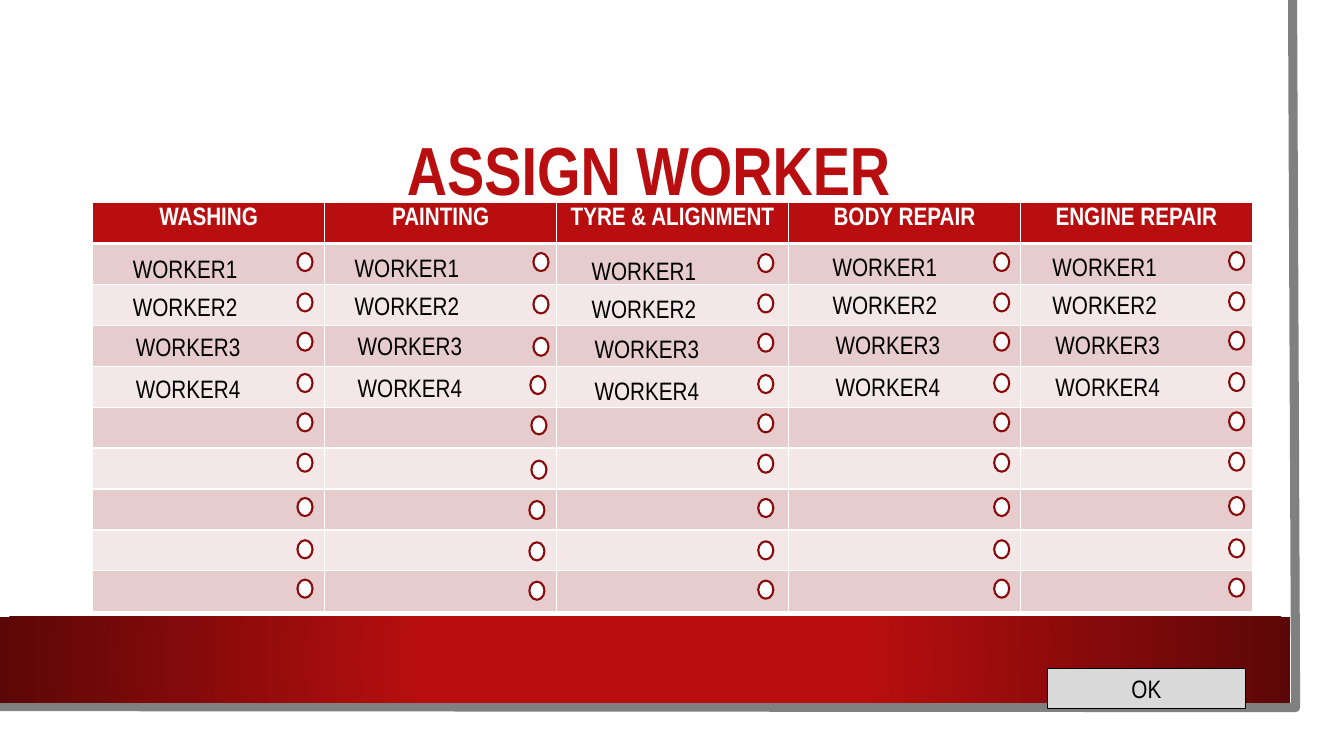
from pptx import Presentation
from pptx.dml.color import RGBColor
from pptx.enum.shapes import MSO_SHAPE
from pptx.enum.text import MSO_ANCHOR, PP_ALIGN
from pptx.oxml import parse_xml
from pptx.oxml.ns import nsdecls
from pptx.util import Inches, Pt

RECTANGLE = MSO_SHAPE.RECTANGLE
CIRCLE = MSO_SHAPE.FLOWCHART_CONNECTOR
LEFT, CENTER = PP_ALIGN.LEFT, PP_ALIGN.CENTER
TOP, MIDDLE, BOTTOM = MSO_ANCHOR.TOP, MSO_ANCHOR.MIDDLE, MSO_ANCHOR.BOTTOM

FONT = "Arial Narrow"
RED, DARK_RED, RING_RED = "B80E0F", "5C0707", "880A0B"
WHITE, BLACK, GREY, BUTTON_GREY = "FFFFFF", "000000", "808080", "D9D9D9"
BANDS = ("E6CCCC", "F3E7E7")

JOBS = ["WASHING", "PAINTING", "TYRE & ALIGNMENT", "BODY REPAIR", "ENGINE REPAIR"]
WORKERS = ["WORKER1", "WORKER2", "WORKER3", "WORKER4"]
ROW_COUNT = 10

# Offsets from the first worker label and the first radio button of a column
LABEL_STEPS = [(0, 0), (0, 0.38), (0.03, 0.78), (0.03, 1.19)]
BUTTON_DROPS = [0, 0.4, 0.79, 1.2, 1.59, 1.99, 2.43, 2.85, 3.24]
BUTTON_STEPS = [(0, drop) for drop in BUTTON_DROPS]
PAINTING_STEPS = [(0, 0), (0, 0.42), (0, 0.84), (-0.03, 1.22), (-0.02, 1.62),
                  (-0.02, 2.06), (-0.04, 2.46), (-0.04, 2.87), (-0.04, 3.26)]

# Per job: first label, first radio button, radio button offsets
COLUMNS = [
    ((1.22, 2.46), (2.95, 2.51), BUTTON_STEPS),
    ((3.42, 2.45), (5.29, 2.51), PAINTING_STEPS),
    ((5.77, 2.48), (7.52, 2.52), BUTTON_STEPS),
    ((8.16, 2.44), (9.86, 2.51), BUTTON_STEPS),
    ((10.34, 2.44), (12.19, 2.5), BUTTON_STEPS),
]


def color(hex_value):
    return RGBColor.from_string(hex_value)


def write_text(frame, text, size=18, text_color=BLACK, bold=False,
               align=LEFT, anchor=TOP, spacing=1.0):
    frame.word_wrap = True
    frame.vertical_anchor = anchor
    para = frame.paragraphs[0]
    para.alignment = align
    para.line_spacing = spacing
    span = para.add_run()
    span.text = text
    span.font.name = FONT
    span.font.size = Pt(size)
    span.font.bold = bold
    span.font.color.rgb = color(text_color)


def add_text(page, box, text, **text_format):
    shape = page.shapes.add_textbox(*map(Inches, box))
    write_text(shape.text_frame, text, **text_format)


def add_box(page, kind, box, fill, line=None, width=1):
    shape = page.shapes.add_shape(kind, *map(Inches, box))
    shape.shadow.inherit = False
    shape.fill.solid()
    shape.fill.fore_color.rgb = color(fill)
    if line:
        shape.line.color.rgb = color(line)
        shape.line.width = Pt(width)
    else:
        shape.line.fill.background()
    return shape


def set_radial_fill(shape, inner, outer):
    properties = shape.fill._xPr
    shape.fill.background()
    gradient = parse_xml(
        f'<a:gradFill {nsdecls("a")} rotWithShape="1"><a:gsLst>'
        f'<a:gs pos="34000"><a:srgbClr val="{inner}"/></a:gs>'
        f'<a:gs pos="100000"><a:srgbClr val="{outer}"/></a:gs></a:gsLst>'
        '<a:path path="circle"><a:fillToRect l="50000" t="50000" r="50000" b="50000"/>'
        '</a:path></a:gradFill>')
    properties.replace(properties.noFill, gradient)


def add_backdrop(page, box):
    left, top, width, height = box
    add_box(page, RECTANGLE, box, WHITE)

    # Grey edge along the right and bottom of the sheet
    right, bottom = left + width - 0.25, top + height - 0.25
    edge = page.shapes.build_freeform(Inches(right - 0.03), Inches(top), scale=1.0)
    edge.add_line_segments([(Inches(right), Inches(bottom)),
                            (Inches(left - 0.03), Inches(bottom - 0.01))], close=False)
    outline = edge.convert_to_shape()
    outline.shadow.inherit = False
    outline.fill.background()
    outline.line.color.rgb = color(GREY)
    outline.line.width = Pt(6.5)

    # Red band
    band = add_box(page, RECTANGLE, (left, bottom - 0.9, width - 0.3, 0.85), RED)
    set_radial_fill(band, RED, DARK_RED)


def set_borders(cell, bottom_width):
    properties = cell._tc.get_or_add_tcPr()
    sides = {"lnL": 1, "lnR": 1, "lnT": 1, "lnB": bottom_width}
    for index, (side, width) in enumerate(sides.items()):
        properties.insert(index, parse_xml(
            f'<a:{side} {nsdecls("a")} w="{Pt(width)}"><a:solidFill>'
            f'<a:srgbClr val="{WHITE}"/></a:solidFill></a:{side}>'))


def add_job_table(page, box):
    table = page.shapes.add_table(ROW_COUNT, len(JOBS), *map(Inches, box)).table
    for row in range(ROW_COUNT):
        for column, job in enumerate(JOBS):
            cell = table.cell(row, column)
            cell.fill.solid()
            cell.fill.fore_color.rgb = color(BANDS[(row - 1) % 2] if row else RED)
            set_borders(cell, 1 if row else 3)
            if row == 0:
                write_text(cell.text_frame, job, text_color=WHITE, bold=True, align=CENTER)


def add_job_column(page, label_start, button_start, button_steps):
    left, top = button_start
    for right, down in button_steps:
        add_box(page, CIRCLE, (left + right, top + down, 0.15, 0.18), WHITE, RING_RED, 1.5)
    left, top = label_start
    for worker, (right, down) in zip(WORKERS, LABEL_STEPS):
        add_text(page, (left + right, top + down, 1.54, 0.4), worker)


def add_ok_button(page, box):
    button = add_box(page, RECTANGLE, box, BUTTON_GREY, BLACK, 0.75)
    write_text(button.text_frame, "OK", align=CENTER, anchor=MIDDLE)


def main():
    deck = Presentation()
    deck.slide_width, deck.slide_height = Inches(13.33), Inches(7.5)
    page = deck.slides.add_slide(deck.slide_layouts[6])

    add_backdrop(page, (0, 0, 13.1, 7.27))
    add_text(page, (0.75, 0.87, 11.37, 1.26), "ASSIGN WORKER", size=48.6,
             text_color=RED, bold=True, align=CENTER, anchor=BOTTOM, spacing=0.9)
    add_job_table(page, (0.92, 2.01, 11.5, 4.06))
    for column in COLUMNS:
        add_job_column(page, *column)
    add_ok_button(page, (10.39, 6.63, 1.96, 0.4))

    deck.save("out.pptx")


if __name__ == "__main__":
    main()
